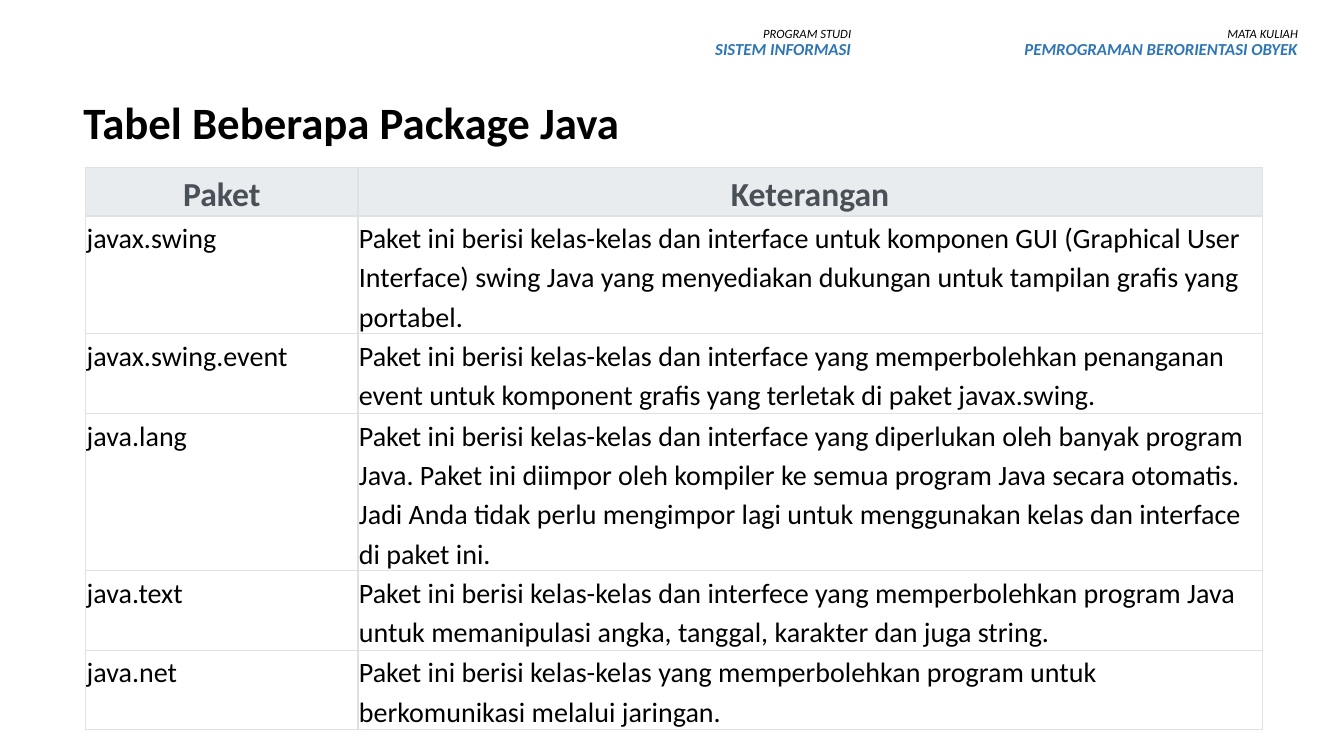
from lxml.etree import SubElement
from pptx import Presentation
from pptx.dml.color import RGBColor
from pptx.enum.text import MSO_ANCHOR as Anchor, PP_ALIGN as Align
from pptx.oxml.ns import qn
from pptx.util import Emu, Pt

PX = 9144
FONT = "Calibri"
COLORS = {
    "black": "000000",
    "blue": "2E75B6",
    "heading": "495057",
    "heading_fill": "E9ECEF",
    "border": "DEE2E6",
}
COLUMN_WIDTHS = [270, 897]
ROW_HEIGHTS = [48, 116, 79, 156, 79, 79]
PACKAGES = [
    ("Paket", "Keterangan"),
    ("javax.swing",
     "Paket ini berisi kelas-kelas dan interface untuk komponen GUI (Graphical User Interface) "
     "swing Java yang menyediakan dukungan untuk tampilan grafis yang portabel."),
    ("javax.swing.event",
     "Paket ini berisi kelas-kelas dan interface yang memperbolehkan penanganan event untuk "
     "komponent grafis yang terletak di paket javax.swing."),
    ("java.lang",
     "Paket ini berisi kelas-kelas dan interface yang diperlukan oleh banyak program Java. "
     "Paket ini diimpor oleh kompiler ke semua program Java secara otomatis. Jadi Anda tidak "
     "perlu mengimpor lagi untuk menggunakan kelas dan interface di paket ini."),
    ("java.text",
     "Paket ini berisi kelas-kelas dan interfece yang memperbolehkan program Java untuk "
     "memanipulasi angka, tanggal, karakter dan juga string."),
    ("java.net",
     "Paket ini berisi kelas-kelas yang memperbolehkan program untuk berkomunikasi melalui "
     "jaringan."),
]


def px(length):
    """Turn a length in px into EMU."""
    return Emu(length * PX)


def color(name):
    """Look up a named colour."""
    return RGBColor.from_string(COLORS[name])


def write(paragraph, text, size, fill="black", bold=False, italic=False,
          align=Align.LEFT, line_spacing=1.0, space_after=0):
    """Put formatted text in a paragraph."""
    paragraph.alignment = align
    paragraph.line_spacing = line_spacing
    paragraph.space_after = Pt(space_after)
    run = paragraph.add_run()
    run.text = text
    run.font.name = FONT
    run.font.size = Pt(size)
    run.font.bold = bold
    run.font.italic = italic
    run.font.color.rgb = color(fill)


def add_text_box(slide, left, top, width, height, wrap=True):
    """Add a text box and return its text frame."""
    frame = slide.shapes.add_textbox(px(left), px(top), px(width), px(height)).text_frame
    frame.word_wrap = wrap
    return frame


def add_page_label(slide, left, width, caption, name):
    """Add a right-aligned caption with a blue name below it."""
    frame = add_text_box(slide, left, 22, width, 56)
    shared = {"italic": True, "align": Align.RIGHT, "line_spacing": 0.9}
    write(frame.paragraphs[0], caption, 9, **shared)
    write(frame.add_paragraph(), name, 12, fill="blue", bold=True, **shared)


def set_borders(cell, **widths):
    """Draw the cell borders with the given widths in points."""
    properties = cell._tc.get_or_add_tcPr()
    for side, width in widths.items():
        line = SubElement(properties, qn(f"a:ln{side}"), w=str(Pt(width)))
        fill = SubElement(line, qn("a:solidFill"))
        SubElement(fill, qn("a:srgbClr"), val=COLORS["border"])


def fill_cell(cell, text, row):
    """Format one cell as a heading or as body text."""
    cell.margin_left = cell.margin_right = cell.margin_top = cell.margin_bottom = px(1)
    set_borders(cell, L=1, R=1, T=1.5 if row == 1 else 1, B=1.5 if row == 0 else 1)
    paragraph = cell.text_frame.paragraphs[0]
    shared = {"line_spacing": 1.15, "space_after": 10}
    if row == 0:
        cell.vertical_anchor = Anchor.BOTTOM
        cell.fill.solid()
        cell.fill.fore_color.rgb = color("heading_fill")
        write(paragraph, text, 24, fill="heading", bold=True, align=Align.CENTER, **shared)
    else:
        cell.vertical_anchor = Anchor.TOP
        cell.fill.background()
        write(paragraph, text, 20, **shared)


def add_package_table(slide, left, top):
    """Add the table of Java packages."""
    table = slide.shapes.add_table(
        len(ROW_HEIGHTS), len(COLUMN_WIDTHS), px(left), px(top),
        px(sum(COLUMN_WIDTHS)), px(sum(ROW_HEIGHTS))).table
    table.first_row = table.horz_banding = False
    for column, width in zip(table.columns, COLUMN_WIDTHS):
        column.width = px(width)
    for row, (height, texts) in enumerate(zip(ROW_HEIGHTS, PACKAGES)):
        table.rows[row].height = px(height)
        for column, text in enumerate(texts):
            fill_cell(table.cell(row, column), text, row)


def main():
    """Build the slide and save it."""
    presentation = Presentation()
    presentation.slide_width, presentation.slide_height = px(1333), px(750)
    slide = presentation.slides.add_slide(presentation.slide_layouts[6])
    add_page_label(slide, 992, 305, "MATA KULIAH", "PEMROGRAMAN BERORIENTASI OBYEK")
    add_page_label(slide, 603, 251, "PROGRAM STUDI", "SISTEM INFORMASI")
    title = add_text_box(slide, 73, 89, 556, 64, wrap=False)
    write(title.paragraphs[0], "Tabel Beberapa Package Java", 32, bold=True)
    add_package_table(slide, 85, 166)
    presentation.save("out.pptx")


if __name__ == "__main__":
    main()
